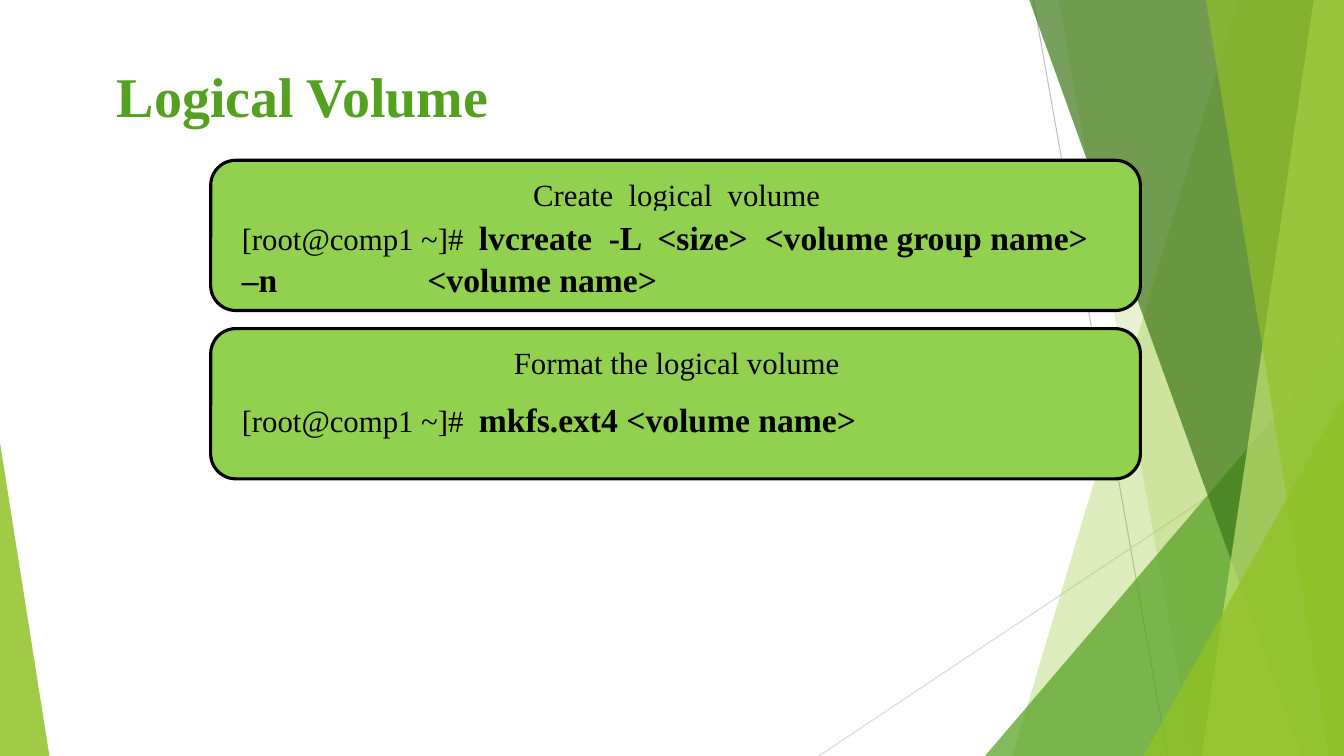
from pptx import Presentation
from pptx.dml.color import RGBColor
from pptx.enum.shapes import MSO_CONNECTOR, MSO_SHAPE
from pptx.enum.text import MSO_ANCHOR, MSO_AUTO_SIZE, PP_ALIGN
from pptx.oxml.ns import qn
from pptx.util import Inches, Pt
from lxml.etree import SubElement

WIDTH, HEIGHT = Inches(13.33), Inches(7.5)
BLACK = RGBColor(0x00, 0x00, 0x00)
LEAF = RGBColor(0x54, 0xA0, 0x21)
LIME = RGBColor(0x90, 0xC2, 0x26)
PALE = RGBColor(0xC0, 0xE4, 0x74)
DARK = RGBColor(0x3F, 0x78, 0x19)
CARD = RGBColor(0x92, 0xD0, 0x50)
GREY = RGBColor(0xBF, 0xBF, 0xBF)
MIST = RGBColor(0xD9, 0xD9, 0xD9)


def write(shape, runs, color=BLACK, align=PP_ALIGN.LEFT, lead=None, tab=None,
          top=0.05, grow=False):
    """Fill a shape with runs of (text, size, bold)."""
    frame = shape.text_frame
    frame.word_wrap = True
    frame.vertical_anchor = MSO_ANCHOR.TOP
    frame.margin_top = Inches(top)
    if grow:
        frame.auto_size = MSO_AUTO_SIZE.SHAPE_TO_FIT_TEXT
    para = frame.paragraphs[0]
    para.alignment = align
    if lead:
        para.line_spacing = Pt(lead)
    if tab:
        stops = SubElement(para._p.get_or_add_pPr(), qn("a:tabLst"))
        SubElement(stops, qn("a:tab"), pos=str(Inches(tab)), algn="l")
    for text, size, bold in runs:
        run = para.add_run()
        run.text = text
        font = run.font
        font.name, font.size, font.bold = "Times New Roman", Pt(size), bold
        font.color.rgb = color


class Deck:
    """Draws on one slide; lengths are percent of its width and height."""

    def __init__(self):
        self.show = Presentation()
        self.show.slide_width, self.show.slide_height = WIDTH, HEIGHT
        self.slide = self.show.slides.add_slide(self.show.slide_layouts[6])
        self.shapes = self.slide.shapes

    def spot(self, x, y):
        return round(x * WIDTH / 100), round(y * HEIGHT / 100)

    def paint(self, shape, color, alpha=100, edge=0):
        shape.shadow.inherit = False
        shape.fill.solid()
        shape.fill.fore_color.rgb = color
        if alpha < 100:
            tone = shape._element.spPr.find(qn("a:solidFill"))[0]
            SubElement(tone, qn("a:alpha"), val=str(alpha * 1000))
        if edge:
            shape.line.color.rgb = BLACK
            shape.line.width = Pt(edge)
        else:
            shape.line.fill.background()
        return shape

    def line(self, start, end, color):
        link = self.shapes.add_connector(
            MSO_CONNECTOR.STRAIGHT, *self.spot(*start), *self.spot(*end))
        link.line.color.rgb = color
        link.line.width = Pt(0.75)
        SubElement(link._element.spPr, qn("a:effectLst"))

    def facet(self, top, base, color, alpha):
        """Full-height band from a slanted edge to the right side."""
        form = self.shapes.build_freeform(*self.spot(top, 0), scale=1.0)
        corners = [(100, 0), (100, 100), (base, 100)]
        form.add_line_segments([self.spot(*c) for c in corners], close=True)
        self.paint(form.convert_to_shape(), color, alpha)

    def wedge(self, x, y, wide, tip, color, alpha):
        """Triangle standing on the bottom edge."""
        shape = self.block(MSO_SHAPE.ISOSCELES_TRIANGLE, x, y, wide, 100 - y,
                           color, alpha)
        shape.adjustments[0] = tip

    def block(self, kind, x, y, wide, high, color=CARD, alpha=100, edge=0):
        shape = self.shapes.add_shape(
            kind, *self.spot(x, y), *self.spot(wide, high))
        return self.paint(shape, color, alpha, edge)

    def title(self, text):
        box = self.shapes.add_textbox(
            *self.spot(7.95, 6.67), *self.spot(70.52, 19.2))
        write(box, [(text, 40, True)], color=LEAF, top=0.11)

    def card(self, y, head, code, drop, high):
        self.block(MSO_SHAPE.ROUNDED_RECTANGLE, 15.68, y, 69.17, 19.87,
                   edge=2.25)
        strip = self.block(MSO_SHAPE.RECTANGLE, 17.18, y + 1.4, 66.32, 6.27)
        write(strip, [(head, 22, False)], align=PP_ALIGN.CENTER, grow=True)
        strip = self.block(MSO_SHAPE.RECTANGLE, 17.25, y + drop, 66.32, high)
        write(strip, [("[root@comp1 ~]#  ", 22, False), (code, 24, True)],
              lead=30, tab=1.84, grow=True)


def main():
    deck = Deck()

    # Background lines and facets, back to front
    deck.line((76.89, 0), (86.87, 100), GREY)
    deck.line((100, 53.73), (60.92, 100), MIST)
    deck.facet(92.12, 75.32, LIME, 30)
    deck.facet(78.77, 88.75, LIME, 20)
    deck.wedge(73.29, 44.4, 26.71, 1, LEAF, 72)
    deck.facet(76.59, 96.85, DARK, 70)
    deck.facet(97.75, 89.42, PALE, 70)
    deck.facet(89.72, 98.87, LIME, 65)
    deck.wedge(85.07, 52.4, 14.93, 1, LIME, 80)
    deck.wedge(0, 58.53, 3.68, 0, LIME, 85)

    # Title and command cards
    deck.title("Logical Volume")
    deck.card(21.2, "Create  logical  volume",
              "lvcreate  -L  <size>  <volume group name>  –n\t<volume name>",
              drop=6.67, high=12.53)
    deck.card(43.47, "Format the logical volume", "mkfs.ext4 <volume name>",
              drop=8.4, high=6.93)

    deck.show.save("out.pptx")


if __name__ == "__main__":
    main()
